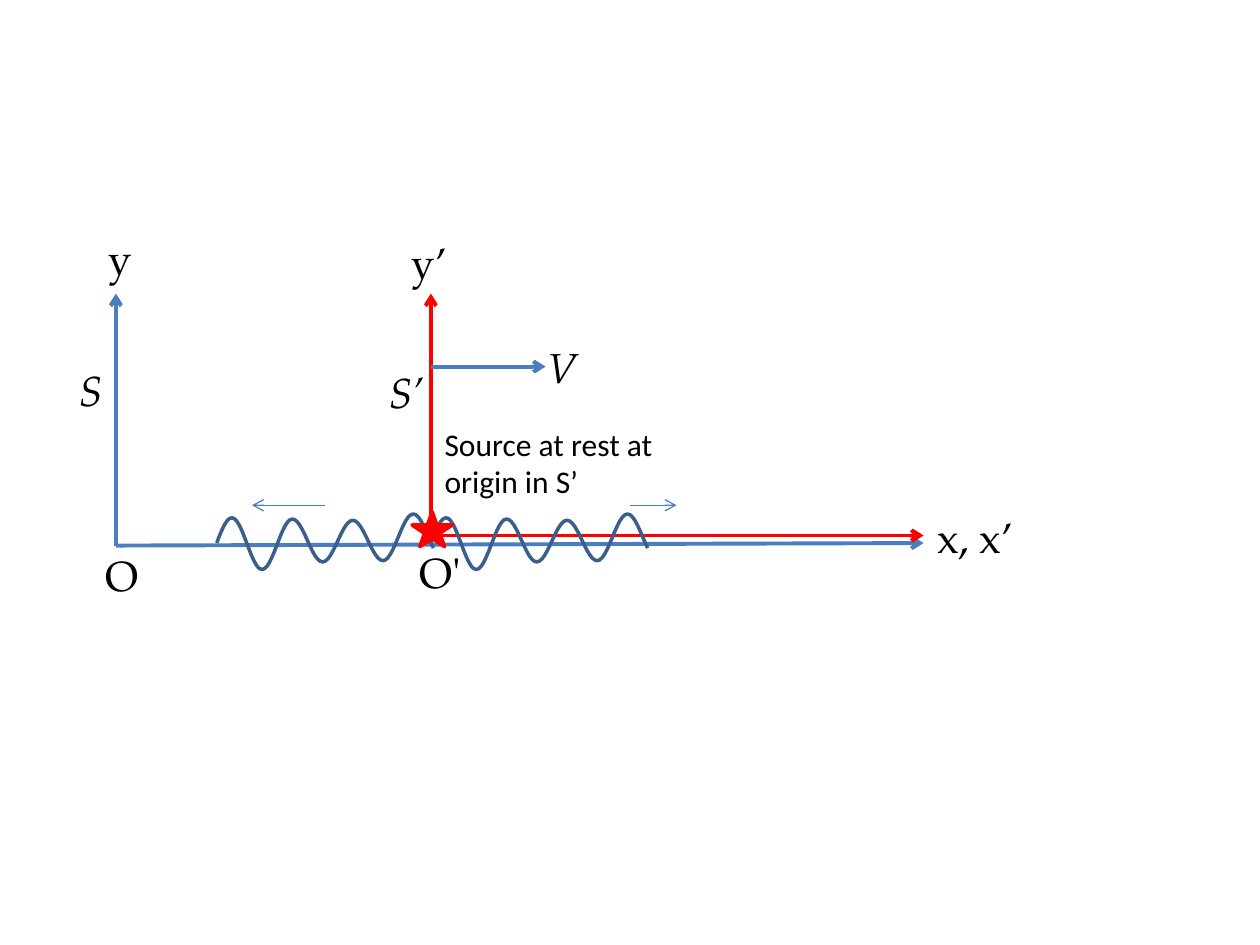
from dataclasses import dataclass
from math import cos, pi

from pptx import Presentation
from pptx.dml.color import RGBColor
from pptx.enum.shapes import MSO_CONNECTOR as Connector, MSO_SHAPE as Shape
from pptx.enum.text import MSO_AUTO_SIZE as AutoSize
from pptx.oxml.ns import qn
from pptx.util import Inches, Pt
from lxml.etree import SubElement


@dataclass(frozen=True)
class Theme:
    """Colours, fonts and sizes of the diagram."""
    blue: str = "4B7EBC"
    navy: str = "3A5F8C"
    red: str = "FF0000"
    black: str = "000000"
    label_font: str = "TeX Gyre Pagella"
    note_font: str = "Calibri"
    label_size: float = 24
    note_size: float = 18
    axis: float = 2.25
    outline: float = 2
    thin: float = 0.75


REST_X, REST_Y = 0.92, 4.33
MOVING_X, MOVING_Y = 3.42, 4.25
AXIS_TOP, AXIS_RIGHT = 2.33, 7.33
VELOCITY_Y, RAY_Y = 2.91, 4.01

HALF_PERIOD = 0.24
TURNING_HEIGHTS = (4.51, 4.11, 4.52, 4.12, 4.46, 4.13, 4.45, 4.08, 4.44)
WAVE_LENGTH, WAVE_SHIFT, WAVE_STEP = 1.72, 1.7, 0.02

UPRIGHT_LABELS = (
    ("x, x’", 7.34, 4.01, 0.81),
    ("y’", 3.17, 1.83, 0.48),
    ("y", 0.76, 1.8, 0.39),
    ("O'", 3.23, 4.29, 0.54),
    ("O", 0.74, 4.31, 0.47),
)
ITALIC_LABELS = (
    ("S", 0.53, 2.84, 0.39),
    ("S’", 2.99, 2.86, 0.48),
    ("V", 4.25, 2.66, 0.45),
)


def wave_height(distance):
    """Ease by a half cosine between neighbouring crests and troughs."""
    phase = distance / HALF_PERIOD + 0.5
    index = int(phase)
    before, after = TURNING_HEIGHTS[index:index + 2]
    progress = (1 - cos(pi * (phase - index))) / 2
    return before + (after - before) * progress


def wave_points(left):
    """Sample the wave at equal steps to the right of its start."""
    distances = [step * WAVE_STEP for step in range(round(WAVE_LENGTH / WAVE_STEP) + 1)]
    return [(Inches(left + distance), Inches(wave_height(distance)))
            for distance in distances]


class Diagram:
    """Draws styled elements on the current page."""

    def __init__(self, page, theme):
        self.page = page
        self.theme = theme

    def stroke(self, line, color, width):
        """Set the colour and width of a line."""
        line.color.rgb = RGBColor.from_string(color)
        line.width = Pt(width)

    def arrow(self, start, end, color, width):
        """Add a straight line with an open arrowhead at its end."""
        connector = self.page.shapes.add_connector(
            Connector.STRAIGHT, *map(Inches, start + end))
        self.stroke(connector.line, color, width)
        properties = connector._element.spPr
        SubElement(properties.find(qn("a:ln")), qn("a:tailEnd"), type="arrow")
        SubElement(properties, qn("a:effectLst"))

    def axes(self, origin, right_end, color):
        """Add the upward and rightward axes of a reference frame."""
        for end in ((origin[0], AXIS_TOP), right_end):
            self.arrow(origin, end, color, self.theme.axis)

    def text(self, words, frame, font, size, italic=False, wrap=False):
        """Add a text box."""
        box = self.page.shapes.add_textbox(*map(Inches, frame))
        box.text_frame.word_wrap = wrap
        box.text_frame.auto_size = AutoSize.SHAPE_TO_FIT_TEXT
        para = box.text_frame.paragraphs[0]
        para.text = words
        para.font.name = font
        para.font.size = Pt(size)
        para.font.italic = italic
        para.font.color.rgb = RGBColor.from_string(self.theme.black)

    def labels(self, entries, italic):
        """Add one-line labels of equal height."""
        for words, left, top, width in entries:
            self.text(words, (left, top, width, 0.5), self.theme.label_font,
                      self.theme.label_size, italic)

    def note(self, words, frame):
        """Add a wrapped remark."""
        self.text(words, frame, self.theme.note_font, self.theme.note_size, wrap=True)

    def wave(self, left):
        """Add an open wave that starts at left."""
        start, *others = wave_points(left)
        builder = self.page.shapes.build_freeform(*start)
        builder.add_line_segments(others, close=False)
        outline = builder.convert_to_shape()
        outline.shadow.inherit = False
        outline.fill.background()
        self.stroke(outline.line, self.theme.navy, self.theme.outline)

    def star(self, frame):
        """Add the light source."""
        star = self.page.shapes.add_shape(Shape.STAR_5_POINT, *map(Inches, frame))
        star.shadow.inherit = False
        star.fill.solid()
        star.fill.fore_color.rgb = RGBColor.from_string(self.theme.red)
        self.stroke(star.line, self.theme.red, self.theme.outline)


def main():
    """Build the moving source diagram."""
    deck = Presentation()
    deck.slide_width, deck.slide_height = Inches(10), Inches(7.5)
    theme = Theme()
    diagram = Diagram(deck.slides.add_slide(deck.slide_layouts[6]), theme)

    diagram.axes((REST_X, REST_Y), (AXIS_RIGHT, 4.31), theme.blue)
    diagram.axes((MOVING_X, MOVING_Y), (AXIS_RIGHT, MOVING_Y), theme.red)
    diagram.labels(UPRIGHT_LABELS, italic=False)
    diagram.arrow((MOVING_X, VELOCITY_Y), (4.33, VELOCITY_Y), theme.blue, theme.axis)
    diagram.labels(ITALIC_LABELS, italic=True)
    diagram.note("Source at rest at origin in S’", (3.43, 3.32, 1.89, 0.71))

    for left in (MOVING_X, MOVING_X - WAVE_SHIFT):
        diagram.wave(left)
    diagram.star((3.27, 4.06, 0.32, 0.28))
    for start, end in ((2.58, 2), (5, 5.37)):
        diagram.arrow((start, RAY_Y), (end, RAY_Y), theme.blue, theme.thin)

    deck.save("out.pptx")


if __name__ == "__main__":
    main()
